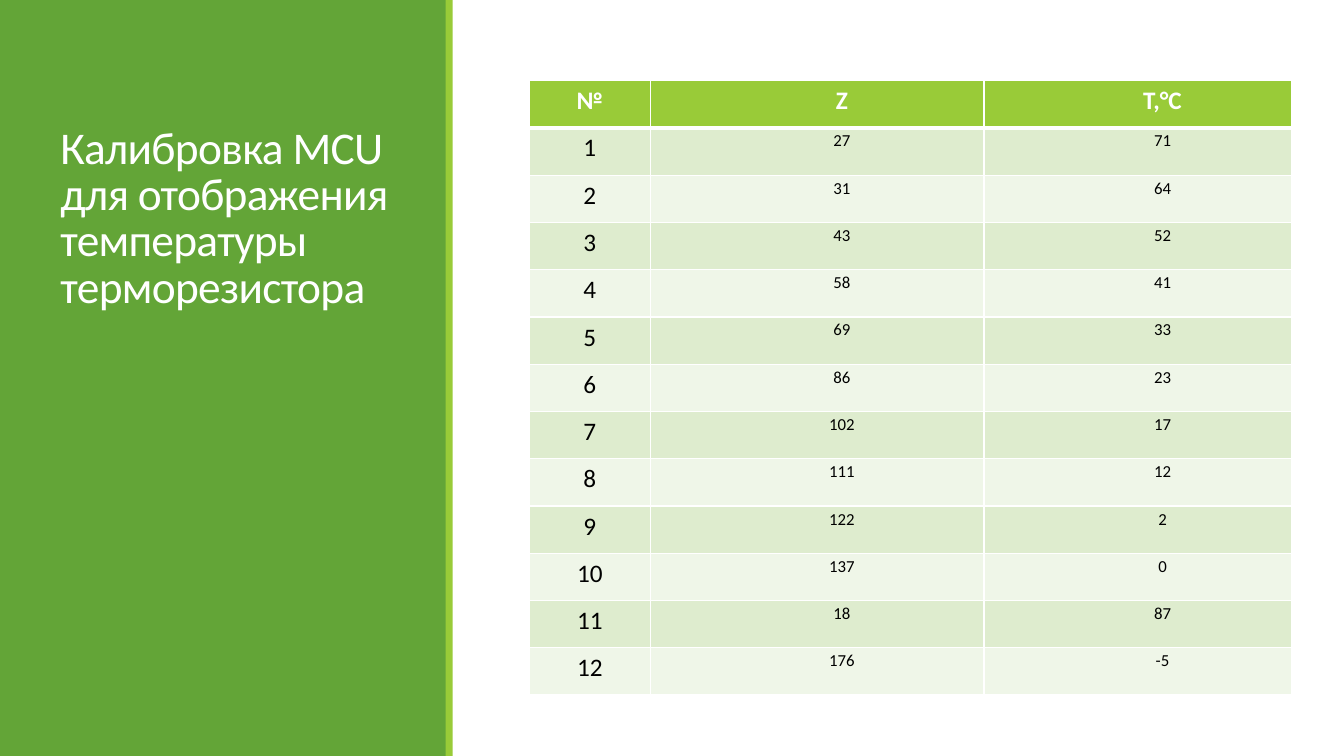
import pptx
import pptx.dml.color
import pptx.enum.shapes
import pptx.enum.text
import pptx.util
from lxml import etree
from pptx.oxml.ns import qn
from pptx.util import Inches

READINGS = [(27, 71), (31, 64), (43, 52), (58, 41), (69, 33), (86, 23),
            (102, 17), (111, 12), (122, 2), (137, 0), (18, 87), (176, -5)]


def rgb(value):
    return pptx.dml.color.RGBColor.from_string(value)


class CalibrationSlide:
    FONT = "Calibri"
    GREEN, LIME = "63A537", "99CB38"
    BANDS = ("EFF6E8", "DEECCE")
    WHITE, BLACK = "FFFFFF", "000000"

    def __init__(self, presentation):
        self.slide = presentation.slides.add_slide(presentation.slide_layouts[5])

    def add_panel(self, left, width, color):
        panel = self.slide.shapes.add_shape(
            pptx.enum.shapes.MSO_SHAPE.RECTANGLE,
            Inches(left), 0, Inches(width), Inches(7.5))
        panel.shadow.inherit = False
        panel.fill.solid()
        panel.fill.fore_color.rgb = rgb(color)
        panel.line.fill.background()

    def add_run(self, paragraph, text, size, color, bold=False):
        run = paragraph.add_run()
        run.text = text
        run.font.name = self.FONT
        run.font.size = pptx.util.Pt(size)
        run.font.bold = bold
        run.font.color.rgb = rgb(color)
        return run

    def set_title(self, text):
        title = self.slide.shapes.title
        title.left, title.top = Inches(0.5), Inches(0.65)
        title.width, title.height = Inches(3.5), Inches(2.5)
        # Bring the title in front of the panels
        title.element.getparent().append(title.element)
        frame = title.text_frame
        frame.word_wrap = True
        frame.auto_size = pptx.enum.text.MSO_AUTO_SIZE.NONE
        frame.vertical_anchor = pptx.enum.text.MSO_ANCHOR.BOTTOM
        paragraph = frame.paragraphs[0]
        paragraph.alignment = pptx.enum.text.PP_ALIGN.LEFT
        paragraph.line_spacing = 0.85
        run = self.add_run(paragraph, text, 32.4, self.WHITE)
        run.font.element.set("spc", "-50") if hasattr(run.font, "element") else \
            run._r.get_or_add_rPr().set("spc", "-50")

    def add_table(self, rows, widths):
        table = self.slide.shapes.add_table(
            len(rows), len(widths), Inches(5.25), Inches(0.8),
            Inches(sum(widths)), Inches(6.1)).table
        for column, width in zip(table.columns, widths):
            column.width = Inches(width)
        for row_index, row in enumerate(rows):
            for column_index, value in enumerate(row):
                self.fill_cell(table.cell(row_index, column_index), str(value),
                               row_index, column_index)

    def fill_cell(self, cell, text, row, column):
        header, numbering = row == 0, column == 0
        side, edge = (0.08, 0.05) if numbering else (0.06, 0)
        cell.margin_left = cell.margin_right = Inches(side)
        cell.margin_top = cell.margin_bottom = Inches(edge)
        cell.fill.solid()
        cell.fill.fore_color.rgb = rgb(self.LIME if header else self.BANDS[row % 2])
        self.set_borders(cell, top=3 if row == 1 else 1, bottom=3 if header else 1)
        paragraph = cell.text_frame.paragraphs[0]
        paragraph.alignment = pptx.enum.text.PP_ALIGN.CENTER
        if not numbering:
            paragraph.line_spacing = 1.15
            properties = paragraph._p.get_or_add_pPr()
            properties.set("marL", "0")
            properties.set("indent", str(Inches(0.49)))
        self.add_run(paragraph, text, 18 if header or numbering else 12,
                     self.WHITE if header else self.BLACK, header)

    def set_borders(self, cell, top, bottom):
        properties = cell._tc.get_or_add_tcPr()
        borders = {"a:lnL": 1, "a:lnR": 1, "a:lnT": top, "a:lnB": bottom}
        for position, (tag, width) in enumerate(borders.items()):
            line = etree.Element(qn(tag), w=str(pptx.util.Pt(width)))
            fill = etree.SubElement(line, qn("a:solidFill"))
            etree.SubElement(fill, qn("a:srgbClr"), val=self.WHITE)
            properties.insert(position, line)


def main():
    presentation = pptx.Presentation()
    presentation.slide_width = Inches(13.33)
    presentation.slide_height = Inches(7.5)
    slide = CalibrationSlide(presentation)
    slide.add_panel(0, 4.43, slide.GREEN)
    slide.add_panel(4.42, 0.07, slide.LIME)
    slide.set_title("Калибровка MCU для отображения температуры терморезистора")
    rows = [("№", "Z", "T,°С")]
    rows += [(number, *reading) for number, reading in enumerate(READINGS, 1)]
    slide.add_table(rows, [1.2, 3.31, 3.05])
    presentation.save("out.pptx")


if __name__ == "__main__":
    main()
